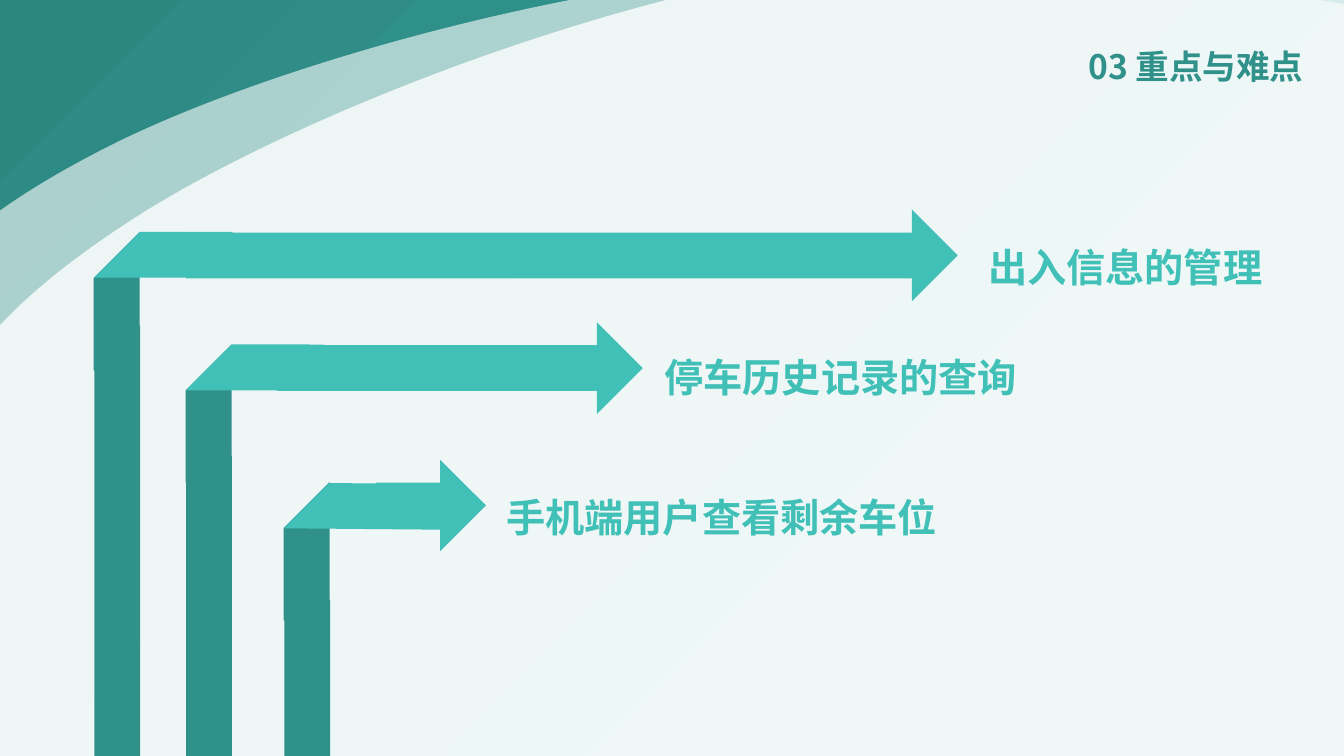
from lxml.etree import SubElement
from pptx import Presentation
from pptx.dml.color import RGBColor
from pptx.enum.shapes import MSO_SHAPE as Preset
from pptx.enum.text import MSO_ANCHOR as Anchor, MSO_AUTO_SIZE as AutoSize, PP_ALIGN as Align
from pptx.oxml import parse_xml
from pptx.oxml.ns import nsdecls, qn
from pptx.util import Pt

FONT = "Noto Sans CJK SC"
DARK, LIGHT, WHITE = "30918B", "41C0B8", "FFFFFF"
WIDTH, HEIGHT = 960, 540
BAND = 32.7
FOLD = 92.8
BACKDROP_STOPS = [(0, "39ACA5"), (23, "39ACA5"), (69, DARK), (97, "2D8781")]
VEIL_BOX = (-139, -24.5, 1471.7, 715)
VEIL_OUTLINE = [
    (-97, 280), (-73, 214), (-44, 168), (69, 109),
    (181, 50), (406, -14), (585, -23),
    (765, -32), (1034, -1), (1146, 59),
    (1259, 118), (1387, 300), (1309, 393),
    (1230, 487), (816, 670), (585, 689),
    (355, 708), (37, 565), (-75, 505),
    (-188, 446), (-121, 346), (-97, 280),
]


def paint(color_format, color):
    """Apply a hex colour to a fill or font colour."""
    color_format.rgb = RGBColor.from_string(color)


def finish(shape, color, rotation=0):
    """Give a shape a flat fill without line or shadow."""
    shape.fill.solid()
    paint(shape.fill.fore_color, color)
    shape.line.fill.background()
    shape.shadow.inherit = False
    shape.rotation = rotation
    return shape


def add_block(slide, preset, left, top, width, height, color, rotation=0, flip=False):
    """Add a filled preset shape, optionally mirrored."""
    box = [Pt(value) for value in (left, top, width, height)]
    block = finish(slide.shapes.add_shape(preset, *box), color, rotation)
    if flip:
        block._element.spPr.xfrm.set("flipH", "1")
    return block


def add_backdrop(slide):
    """Cover the slide with the diagonal teal gradient."""
    backdrop = add_block(slide, Preset.RECTANGLE, 0, 0, WIDTH, HEIGHT, DARK)
    stops = "".join(
        f'<a:gs pos="{percent * 1000}"><a:srgbClr val="{color}"/></a:gs>'
        for percent, color in BACKDROP_STOPS
    )
    gradient = parse_xml(
        f'<a:gradFill {nsdecls("a")} rotWithShape="1"><a:gsLst>{stops}</a:gsLst>'
        f'<a:lin ang="{225 * 60000}" scaled="0"/></a:gradFill>'
    )
    properties = backdrop._element.spPr
    properties.replace(properties.find(qn("a:solidFill")), gradient)


def round_outline(veil):
    """Turn the straight veil outline into cubic curves within its visible box."""
    left, top, width, height = [Pt(value) for value in VEIL_BOX]
    outline = next(veil._element.iter(qn("a:path")))
    outline.set("w", str(width))
    outline.set("h", str(height))
    vertices = list(outline.iter(qn("a:pt")))
    for vertex, (x, y) in zip(vertices, VEIL_OUTLINE):
        vertex.set("x", str(Pt(x) - left))
        vertex.set("y", str(Pt(y) - top))
    sides = outline.findall(qn("a:lnTo"))
    closing = outline.find(qn("a:close"))
    for first in range(1, len(VEIL_OUTLINE), 3):
        curve = SubElement(outline, qn("a:cubicBezTo"))
        curve.extend(vertices[first:first + 3])
    for side in sides:
        outline.remove(side)
    outline.append(closing)


def add_veil(slide, shift_x, shift_y, rotation, opacity):
    """Add a translucent white blob over the backdrop."""
    start, *corners = [(Pt(x), Pt(y)) for x, y in VEIL_OUTLINE]
    builder = slide.shapes.build_freeform(*start, scale=1)
    builder.add_line_segments(corners, close=True)
    veil = finish(builder.convert_to_shape(), WHITE, rotation)
    round_outline(veil)
    left, top, width, height = VEIL_BOX
    veil.left, veil.top = Pt(left + shift_x), Pt(top + shift_y)
    veil.width, veil.height = Pt(width), Pt(height)
    tint = veil._element.spPr.find(qn("a:solidFill")).find(qn("a:srgbClr"))
    SubElement(tint, qn("a:alpha")).set("val", str(opacity * 1000))


def add_text(slide, text, left, top, width, height, size, color, spacing):
    """Add a bold line of text and return its box."""
    box = slide.shapes.add_textbox(Pt(left), Pt(top), Pt(width), Pt(height))
    box.text_frame.text = text
    line = box.text_frame.paragraphs[0]
    line.line_spacing = spacing
    font = line.runs[0].font
    font.name, font.size, font.bold = FONT, Pt(size), True
    paint(font.color, color)
    SubElement(line.runs[0]._r.get_or_add_rPr(), qn("a:ea")).set("typeface", FONT)
    return box


def add_title(slide, text):
    """Add the right-aligned section title."""
    title = add_text(slide, text, 520.6, 20.2, 417.6, 56.9, 24, DARK, 0.9)
    title.text_frame.word_wrap = True
    title.text_frame.vertical_anchor = Anchor.MIDDLE
    title.text_frame.paragraphs[0].alignment = Align.RIGHT
    title.text_frame.paragraphs[0].space_before = Pt(10)


def add_label(slide, text, left, top):
    """Add the wording beside an arrow head."""
    label = add_text(slide, text, left, top, 14.4 + 28.3 * len(text), 46.8, 28, LIGHT, 1.3)
    label.text_frame.word_wrap = False
    label.text_frame.auto_size = AutoSize.SHAPE_TO_FIT_TEXT


def add_folded_arrow(slide, left, top, column_top, bar_left, head_left, fold):
    """Add a column that folds into a horizontal arrow."""
    add_block(slide, Preset.DIAGONAL_STRIPE, left - 14, top + 18.8, FOLD, FOLD, DARK, 315)
    add_block(slide, Preset.RECTANGLE, left, column_top, BAND, HEIGHT - column_top, DARK)
    shift_x, shift_y, width, height, cut = fold
    crease = add_block(slide, Preset.DIAGONAL_STRIPE, left + shift_x, top + shift_y,
                       width, height, LIGHT, 315, True)
    crease.adjustments[0] = cut
    length = head_left - bar_left
    middle = top + BAND / 2
    add_block(slide, Preset.RECTANGLE, (bar_left + head_left - BAND) / 2,
              middle - length / 2, BAND, length, LIGHT, 270, True)
    add_block(slide, Preset.ISOSCELES_TRIANGLE, head_left - BAND / 2,
              middle - BAND / 2, 2 * BAND, BAND, LIGHT, 90)


def main():
    """Build the slide of key points and difficulties."""
    deck = Presentation()
    deck.slide_width, deck.slide_height = Pt(WIDTH), Pt(HEIGHT)
    slide = deck.slides.add_slide(deck.slide_layouts[6])
    add_backdrop(slide)
    add_veil(slide, 0, 0, 0, 60)
    add_veil(slide, 39.6, -3.6, 354.1, 80)
    add_title(slide, "03 重点与难点")
    wide_fold = (18.9, -14.1, FOLD, FOLD, 0.5)
    small_fold = (17.3, -9.3, 83.5, 85, 0.453)
    topics = [
        ("出入信息的管理", 698.8, 160.2, (67.4, 166.1, 232.6, 133, 651.4, wide_fold)),
        ("停车历史记录的查询", 467.6, 239, (133, 246.6, 325.4, 198, 426.4, wide_fold)),
        ("手机端用户查看剩余车位", 354.6, 338.4, (203.1, 344.7, 428.4, 268.5, 314.4, small_fold)),
    ]
    for text, label_left, label_top, arrow in topics:
        add_folded_arrow(slide, *arrow)
        add_label(slide, text, label_left, label_top)
    deck.save("out.pptx")


if __name__ == "__main__":
    main()
